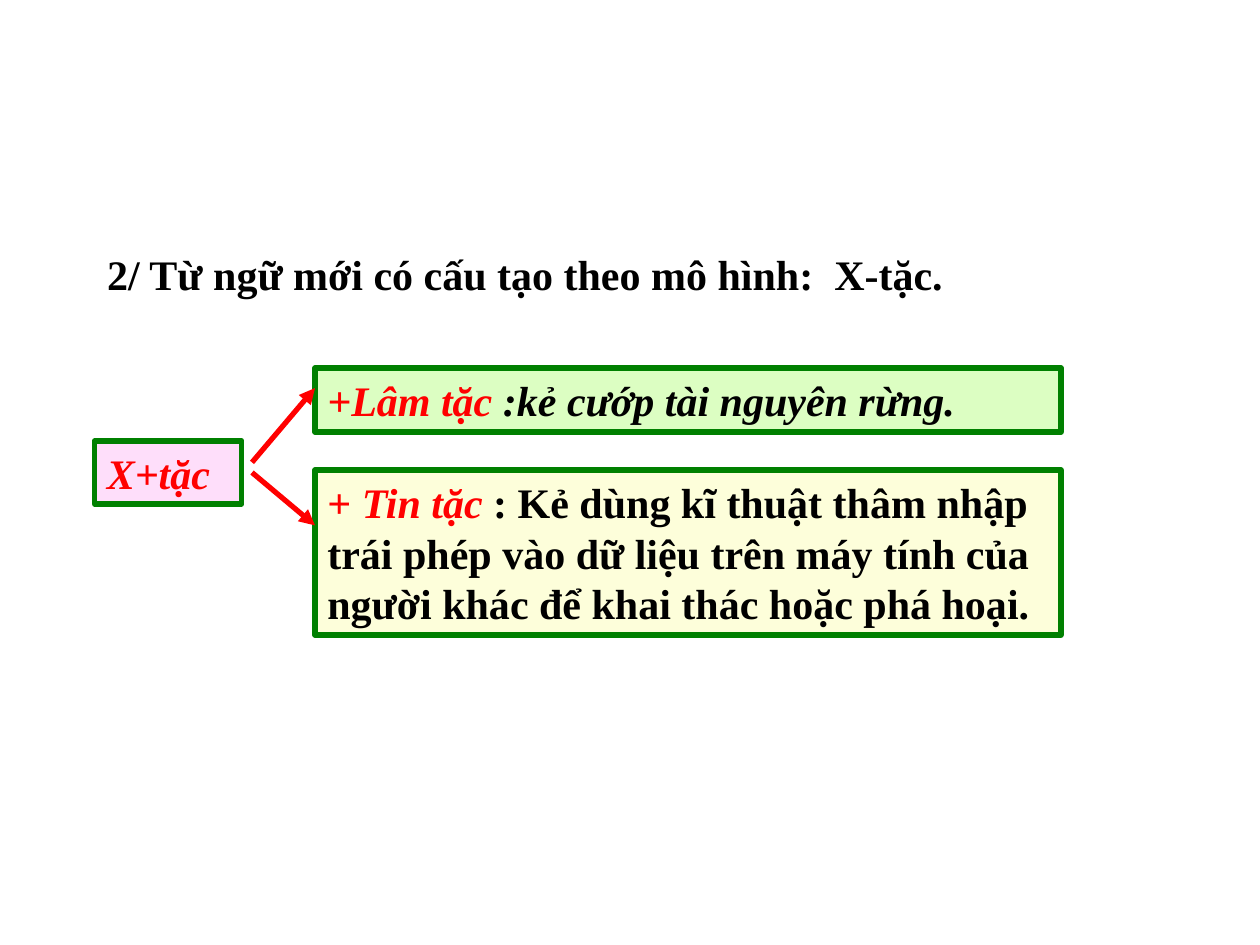
import pptx
import pptx.dml.color
import pptx.enum.shapes
import pptx.enum.text
import pptx.oxml
import pptx.oxml.ns
import pptx.util
from pptx.util import Inches

RED, BLACK, GREEN, WHITE = "FF0000", "000000", "008000", "FFFFFF"


def rgb(value):
    """Turn a hex string into a colour."""
    return pptx.dml.color.RGBColor.from_string(value)


def write_text(shape, spans, anchor=pptx.enum.text.MSO_ANCHOR.TOP):
    """Write (text, colour, italic) spans as one left-aligned paragraph."""
    frame = shape.text_frame
    frame.word_wrap = True
    frame.auto_size = pptx.enum.text.MSO_AUTO_SIZE.SHAPE_TO_FIT_TEXT
    frame.vertical_anchor = anchor
    para = frame.paragraphs[0]
    para.alignment = pptx.enum.text.PP_ALIGN.LEFT
    para.space_before = pptx.util.Pt(0)
    for text, color, italic in spans:
        span = para.add_run()
        span.text = text
        span.font.name = "Times New Roman"
        span.font.size = pptx.util.Pt(24)
        span.font.bold = True
        span.font.italic = italic
        span.font.color.rgb = rgb(color)


def fill_solid(shape, color):
    """Give a shape a plain fill."""
    shape.fill.solid()
    shape.fill.fore_color.rgb = rgb(color)


def place_heading(page, left, top, width, height, text):
    """Place and format the title placeholder."""
    title = page.shapes.title
    title.left, title.top, title.width, title.height = left, top, width, height
    fill_solid(title, WHITE)
    write_text(title, [(text, BLACK, False)])


def add_box(page, left, top, width, height, fill, spans, **options):
    """Add a green-framed box of text."""
    box = page.shapes.add_shape(
        pptx.enum.shapes.MSO_SHAPE.RECTANGLE, left, top, width, height)
    box.shadow.inherit = False
    fill_solid(box, fill)
    box.line.color.rgb = rgb(GREEN)
    box.line.width = pptx.util.Pt(3)
    write_text(box, spans, **options)


def add_arrow(page, start_x, start_y, end_x, end_y):
    """Add a red arrow between two points."""
    arrow = page.shapes.add_connector(
        pptx.enum.shapes.MSO_CONNECTOR.STRAIGHT, start_x, start_y, end_x, end_y)
    arrow.line.color.rgb = rgb(RED)
    arrow.line.width = pptx.util.Pt(3)
    head = pptx.oxml.parse_xml(
        f'<a:tailEnd {pptx.oxml.ns.nsdecls("a")} type="triangle"/>')
    arrow.line._get_or_add_ln().append(head)
    arrow._element.spPr.append(
        pptx.oxml.parse_xml(f'<a:effectLst {pptx.oxml.ns.nsdecls("a")}/>'))


def place_diagram(page, left, top, width):
    """Place the word model, its two examples and the arrows to them."""
    examples_left = left + Inches(1.75)
    examples_width = width - Inches(1.75)
    add_box(page, examples_left, top + Inches(0.81), examples_width, Inches(1.31), "FDFEDA", [
        ("+ ", RED, False),
        ("Tin tặc", RED, True),
        (" : Kẻ dùng kĩ thuật thâm nhập trái phép vào dữ liệu trên máy tính "
         "của người khác để khai thác hoặc phá hoại.", BLACK, False),
    ], anchor=pptx.enum.text.MSO_ANCHOR.MIDDLE)
    add_box(page, left, top + Inches(0.58), Inches(1.17), Inches(0.5), "FEDEFA",
            [("X+tặc", RED, True)])
    add_box(page, examples_left, top, examples_width, Inches(0.51), "DCFEC2", [
        ("+Lâm tặc", RED, True),
        (" :kẻ cướp tài nguyên rừng.", BLACK, True),
    ])
    for start, end in ((0.75, 0.16), (0.83, 1.25)):
        add_arrow(page, left + Inches(1.25), top + Inches(start),
                  examples_left, top + Inches(end))


def main():
    """Build and save the deck."""
    deck = pptx.Presentation()
    deck.slide_width, deck.slide_height = Inches(10), Inches(7.5)
    page = deck.slides.add_slide(deck.slide_layouts.get_by_name("Title Only"))
    place_heading(page, Inches(0.75), Inches(1.92), Inches(8.92), Inches(0.51),
                  "2/ Từ ngữ mới có cấu tạo theo mô hình:  X-tặc.")
    place_diagram(page, Inches(0.75), Inches(2.92), Inches(7.67))
    deck.save("out.pptx")


if __name__ == "__main__":
    main()
